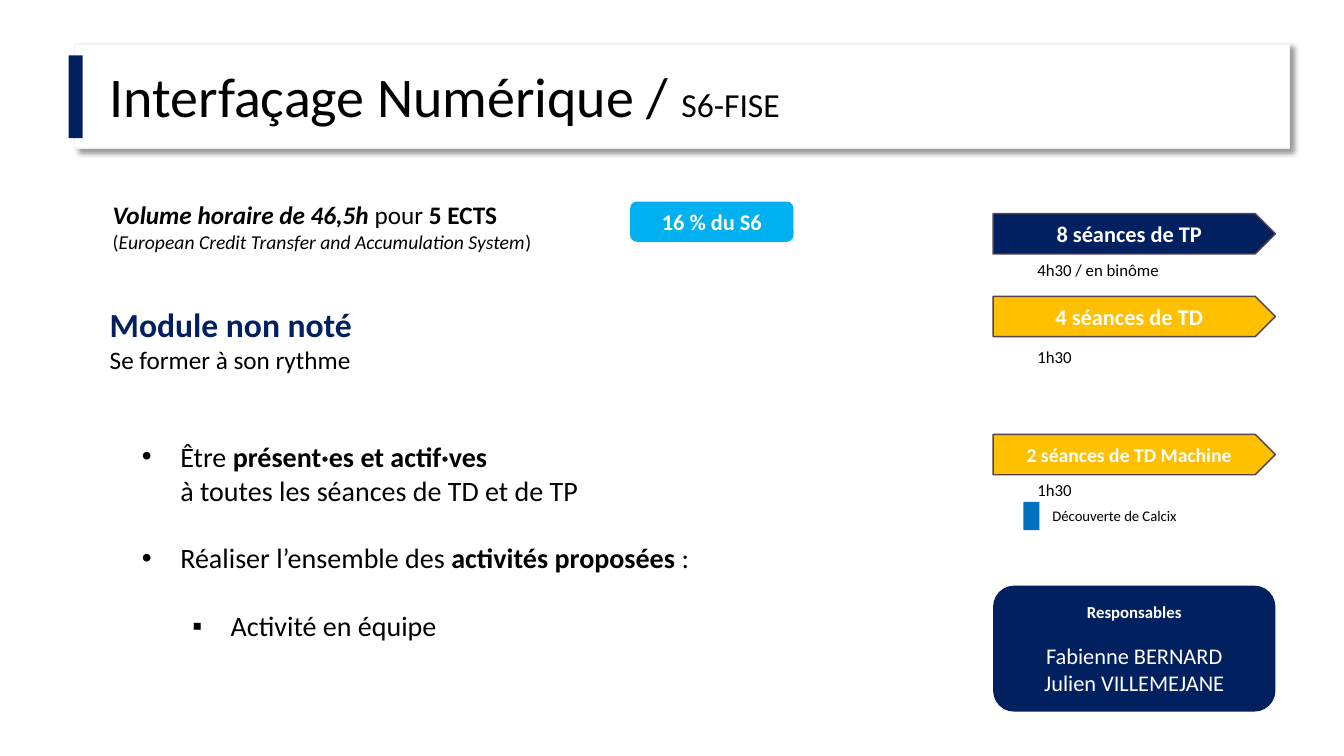
from lxml import etree
from pptx import Presentation
from pptx.dml.color import RGBColor
from pptx.enum.shapes import MSO_SHAPE as Preset
from pptx.enum.text import MSO_ANCHOR as Anchor, PP_ALIGN as Align
from pptx.oxml import parse_xml
from pptx.oxml.ns import nsdecls, qn
from pptx.util import Inches, Pt

COLORS = {
    "white": "FFFFFF",
    "black": "000000",
    "navy": "002060",
    "gold": "FFC000",
    "blue": "0070C0",
    "sky": "00B0F0",
    "outline": "574249",
    "frame": "F2F2F2",
}

presentation = Presentation()
presentation.slide_width = Inches(13.33)
presentation.slide_height = Inches(7.5)
slide = presentation.slides.add_slide(presentation.slide_layouts[6])


def add_box(left, top, width, height, preset=None, fill=None, line=None):
    box = [Inches(length) for length in (left, top, width, height)]
    if preset is None:
        shape = slide.shapes.add_textbox(*box)
    else:
        shape = slide.shapes.add_shape(preset, *box)
        shape.shadow.inherit = False
        shape.fill.solid()
        shape.fill.fore_color.rgb = RGBColor.from_string(COLORS[fill])
        if line:
            shape.line.color.rgb = RGBColor.from_string(COLORS[line])
            shape.line.width = Pt(1)
        else:
            shape.line.fill.background()
        shape.text_frame.vertical_anchor = Anchor.MIDDLE
    shape.text_frame.word_wrap = True
    return shape


def write(shape, *runs, size=18, color="black", bold=False, italic=False, align=Align.LEFT,
          before=0, spacing=None, bullet=None, level=0, indent=0):
    frame = shape.text_frame
    paragraph = frame.paragraphs[0]
    if paragraph.runs:
        paragraph = frame.add_paragraph()
    paragraph.alignment = align
    paragraph.level = level
    if before:
        paragraph.space_before = Pt(before)
    if spacing:
        paragraph.line_spacing = spacing
    if bullet:
        properties = paragraph._p.get_or_add_pPr()
        properties.set("marL", str(Inches(indent)))
        properties.set("indent", str(Inches(-0.38)))
        etree.SubElement(properties, qn("a:buFont")).set("typeface", "Arial")
        etree.SubElement(properties, qn("a:buChar")).set("char", bullet)
    for item in runs:
        text, changes = (item, {}) if isinstance(item, str) else item
        if text == "\n":
            paragraph.add_line_break()
            continue
        run = paragraph.add_run()
        run.text = text
        run.font.name = "Calibri"
        run.font.size = Pt(changes.get("size", size))
        run.font.bold = changes.get("bold", bold)
        run.font.italic = changes.get("italic", italic)
        run.font.color.rgb = RGBColor.from_string(COLORS[color])


title_panel = add_box(0.74, 0.44, 12.05, 1.03, Preset.RECTANGLE, "white", "frame")
effects = title_panel._element.spPr.find(qn("a:effectLst"))
effects.append(parse_xml(
    f'<a:outerShdw {nsdecls("a")} blurRad="{Pt(4)}" dist="{Pt(3)}" dir="2700000" '
    f'algn="tl" rotWithShape="0"><a:srgbClr val="{COLORS["black"]}">'
    '<a:alpha val="40000"/></a:srgbClr></a:outerShdw>'))
title = add_box(0.99, 0.64, 9.81, 0.77)
write(title, "Interfaçage Numérique / ", ("S6-FISE", {"size": 24}), size=40, spacing=0.9)
add_box(0.68, 0.55, 0.14, 0.82, Preset.RECTANGLE, "navy")

sessions = [
    (2.12, "8 séances de TP", 16, "navy", 2.53, "4h30 / en binôme"),
    (2.94, "4 séances de TD", 16, "gold", 3.39, "1h30"),
    (4.31, "2 séances de TD Machine", 14, "gold", 4.71, "1h30"),
]
for top, label, size, fill, duration_top, duration in sessions:
    arrow = add_box(9.85, top, 2.8, 0.4, Preset.PENTAGON, fill, "outline")
    write(arrow, label, size=size, color="white", bold=True, align=Align.CENTER)
    write(add_box(10.19, duration_top, 2.12, 0.3), duration, size=12)

add_box(10.15, 4.98, 0.16, 0.28, Preset.RECTANGLE, "blue")
write(add_box(10.34, 4.98, 2.12, 0.28), "Découverte de Calcix", size=10.5)

contacts = add_box(9.85, 5.81, 2.8, 1.25, Preset.ROUNDED_RECTANGLE, "navy")
write(contacts, "Responsables", size=12, color="white", bold=True, align=Align.CENTER)
for name, before in [("Fabienne BERNARD", 14.6), ("Julien VILLEMEJANE", 0)]:
    write(contacts, name, size=16, color="white", align=Align.CENTER, before=before)

strong = {"bold": True}
expectations = add_box(1.31, 4.31, 7.95, 2.12)
write(expectations, "Être ", ("présent·es et actif·ves", strong), "\n",
      "à toutes les séances de TD et de TP", size=20, bullet="•", indent=0.38)
write(expectations, "Réaliser l’ensemble des ", ("activités proposées ", strong), ":",
      size=20, bullet="•", indent=0.38, before=24.4)
write(expectations, "Activité en équipe", size=20, bullet="▪", indent=0.88, level=1, before=24.4)

module = add_box(0.99, 2.97, 5.26, 0.81)
write(module, "Module non noté", size=24, color="navy", bold=True)
write(module, "Se former à son rythme")

small = {"size": 14}
volume = add_box(1.02, 1.93, 5.23, 0.64)
write(volume, ("Volume horaire de 46,5h ", {"bold": True, "italic": True}), "pour ",
      ("5 ECTS", strong), "\n", ("(", small),
      ("European Credit Transfer and Accumulation System", {"size": 14, "italic": True}),
      (")", small))

share = add_box(6.25, 2, 1.62, 0.4, Preset.ROUNDED_RECTANGLE, "sky")
write(share, "16 % du S6", size=16, color="white", bold=True, align=Align.CENTER)

presentation.save("out.pptx")
